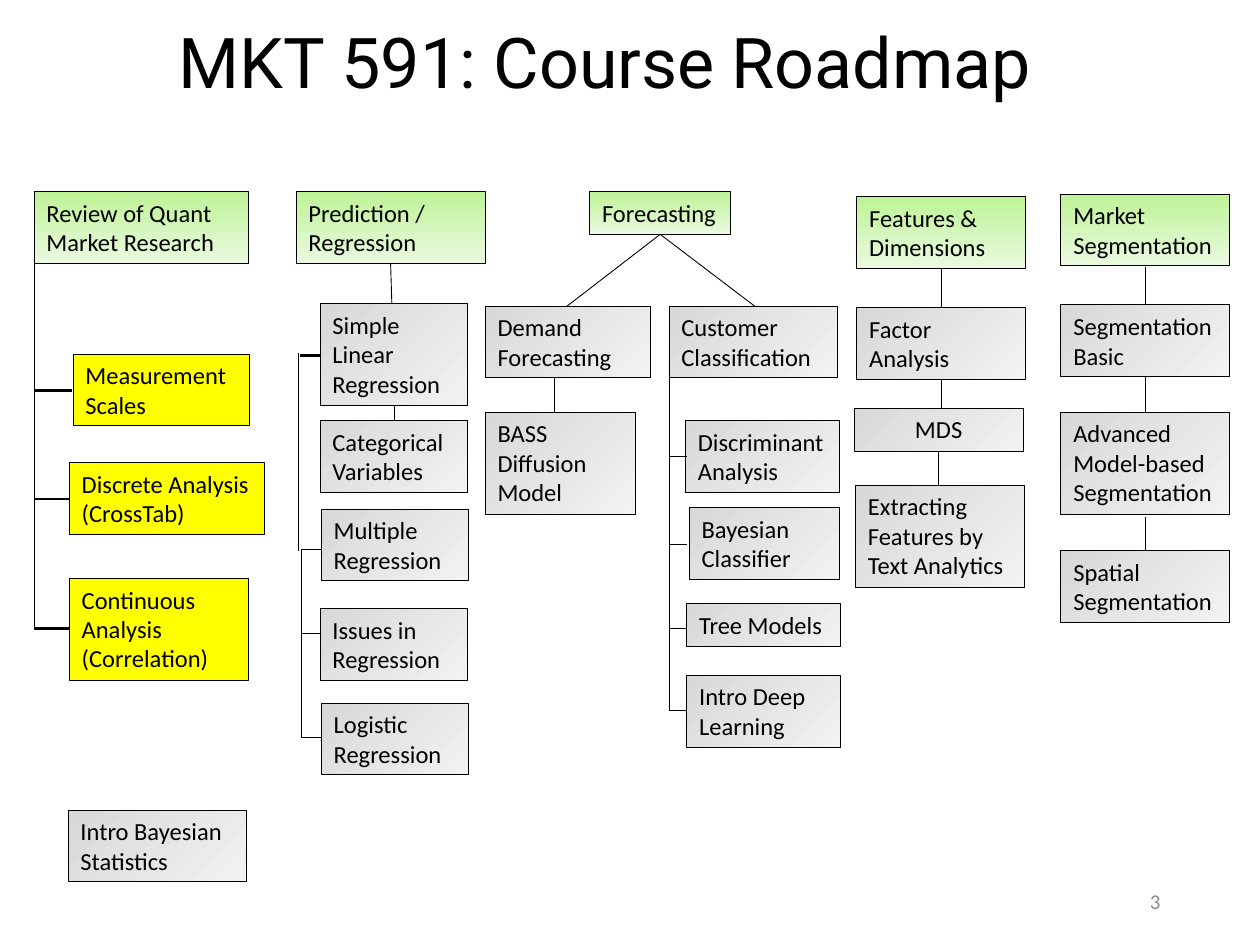
import pptx
import pptx.dml.color
import pptx.enum.shapes
import pptx.enum.text
import pptx.oxml.ns
import pptx.util
from lxml import etree

ALIGN = pptx.enum.text.PP_ALIGN
ANCHOR = pptx.enum.text.MSO_ANCHOR
AUTOSIZE = pptx.enum.text.MSO_AUTO_SIZE


def rgb(value):
    return pptx.dml.color.RGBColor.from_string(value)


class Roadmap:
    COLUMNS, ROWS = 100, 75
    INK, MUTED = "000000", "8C8C8C"
    BODY, HEADING = "Calibri", "Roboto"
    FILLS = {
        "topic": ("BEF297", "EAFAE0", 270),
        "step": ("D8D8D8", "F2F2F2", 315),
        "review": ("FFFF00",),
    }
    HEIGHTS = {1: 3.4, 2: 5.7, 3: 8.1}

    def __init__(self, prs):
        self.prs = prs
        self.s = prs.slides.add_slide(prs.slide_layouts[5])

    def x(self, columns):
        return round(self.prs.slide_width * columns / self.COLUMNS)

    def y(self, rows):
        return round(self.prs.slide_height * rows / self.ROWS)

    def area(self, left, top, width, height):
        return self.x(left), self.y(top), self.x(width), self.y(height)

    def label(self, sp, text, size, font, color, align, anchor, fit):
        tf = sp.text_frame
        tf.word_wrap = True
        tf.auto_size = fit
        tf.vertical_anchor = anchor
        p = tf.paragraphs[0]
        p.alignment = align
        r = p.add_run()
        r.text = text
        r.font.size = pptx.util.Pt(size)
        r.font.name = font
        r.font.color.rgb = rgb(color)
        return p

    def title(self, text, left, top, width, height):
        sp = self.s.shapes.title
        sp.left, sp.top, sp.width, sp.height = self.area(left, top, width, height)
        p = self.label(sp, text, 40, self.HEADING, self.INK, ALIGN.LEFT,
                       ANCHOR.MIDDLE, AUTOSIZE.NONE)
        p.line_spacing = 0.9

    def page_number(self, text, left, top, width, height):
        sp = self.s.shapes.add_textbox(*self.area(left, top, width, height))
        self.label(sp, text, 12, self.BODY, self.MUTED, ALIGN.RIGHT,
                   ANCHOR.MIDDLE, AUTOSIZE.NONE)

    def box(self, kind, text, left, top, width, lines=2, align=ALIGN.LEFT):
        sp = self.s.shapes.add_shape(
            pptx.enum.shapes.MSO_SHAPE.RECTANGLE,
            *self.area(left, top, width, self.HEIGHTS[lines]))
        sp.shadow.inherit = False
        colors = self.FILLS[kind]
        if len(colors) == 1:
            sp.fill.solid()
            sp.fill.fore_color.rgb = rgb(colors[0])
        else:
            start, end, angle = colors
            sp.fill.gradient()
            sp.fill.gradient_angle = angle
            for stop, color in zip(sp.fill.gradient_stops, (start, end)):
                stop.color.rgb = rgb(color)
        sp.line.color.rgb = rgb(self.INK)
        sp.line.width = pptx.util.Pt(0.5)
        self.label(sp, text, 14, self.BODY, self.INK, align,
                   ANCHOR.TOP, AUTOSIZE.SHAPE_TO_FIT_TEXT)

    def link(self, x1, y1, x2, y2, weight=0.5):
        c = self.s.shapes.add_connector(
            pptx.enum.shapes.MSO_CONNECTOR.STRAIGHT,
            self.x(x1), self.y(y1), self.x(x2), self.y(y2))
        c.line.color.rgb = rgb(self.INK)
        c.line.width = pptx.util.Pt(weight)
        etree.SubElement(c.element.spPr, pptx.oxml.ns.qn("a:effectLst"))

    def drops(self, x, *spans):
        for top, bottom in spans:
            self.link(x, top, x, bottom)

    def branches(self, x1, x2, rows, weight=0.5):
        for row in rows:
            self.link(x1, row, x2, row, weight)


TOPICS = [
    ("Review of Quant Market Research", 2.7, 15.2, 17, 2),
    ("Prediction / Regression", 23.5, 15.2, 15, 2),
    ("Forecasting", 46.8, 15.2, 11.2, 1),
    ("Features & Dimensions", 68, 15.6, 13.4, 2),
    ("Market Segmentation", 84.2, 15.4, 13.4, 2),
]
REVIEW = [
    ("Measurement Scales", 5.8, 28.1, 14, 2),
    ("Discrete Analysis (CrossTab)", 5.5, 36.7, 15.5, 2),
    ("Continuous Analysis (Correlation)", 5.5, 45.9, 14.2, 3),
]
STEPS = [
    ("Intro Bayesian Statistics", 5.4, 64.3, 14.2, 2),
    ("Simple Linear Regression", 25.4, 24.1, 11.7, 3),
    ("Categorical Variables", 25.4, 33.4, 11.7, 2),
    ("Multiple Regression", 25.5, 40.4, 11.7, 2),
    ("Issues in Regression", 25.4, 48.3, 11.7, 2),
    ("Logistic Regression", 25.5, 55.8, 11.7, 2),
    ("Demand Forecasting", 38.5, 24.3, 13.1, 2),
    ("BASS Diffusion Model", 38.5, 32.7, 11.9, 3),
    ("Customer Classification", 53.1, 24.3, 13.4, 2),
    ("Discriminant Analysis", 54.4, 33.4, 12.2, 2),
    ("Bayesian Classifier", 54.7, 40.3, 11.9, 2),
    ("Tree Models", 54.5, 47.9, 12.2, 1),
    ("Intro Deep Learning", 54.5, 53.6, 12.2, 2),
    ("Factor Analysis", 68, 24.4, 13.4, 2),
    ("MDS", 67.8, 32.4, 13.4, 1, ALIGN.CENTER),
    ("Extracting Features by Text Analytics", 67.9, 38.5, 13.4, 3),
    ("Segmentation Basic", 84.2, 24.2, 13.4, 2),
    ("Advanced Model-based Segmentation", 84.2, 32.7, 13.4, 3),
    ("Spatial Segmentation", 84.2, 43.7, 13.4, 2),
]


def main():
    prs = pptx.Presentation()
    prs.slide_width = pptx.util.Inches(10)
    prs.slide_height = pptx.util.Inches(7.5)
    road = Roadmap(prs)
    road.title("MKT 591: Course Roadmap", 13.2, 0.1, 72.2, 10.2)
    road.page_number("3", 70.6, 69.5, 22.5, 4)

    road.drops(2.7, (20.9, 50))
    road.branches(2.8, 5.7, (31, 39.6, 49.9), weight=1.5)

    road.link(31, 20.9, 31.1, 24.1)
    road.drops(31.3, (32.1, 33.4))
    road.drops(23.7, (28, 43.7))
    road.drops(23.9, (43.6, 58.6))
    road.branches(23.8, 25.4, (28.2,), weight=1.5)
    road.branches(23.9, 25.5, (43.6, 50.3, 58.5))

    for x in (45, 59.9):
        road.link(52.4, 18.6, x, 24.3)
    road.drops(44, (29.9, 32.7))

    road.drops(74.7, (21.3, 24.4), (30.1, 32.9))
    road.drops(74.5, (35.8, 38.7))
    road.drops(90.9, (21.2, 24.2), (29.9, 32.7), (41, 43.8))

    for kind, boxes in (("topic", TOPICS), ("review", REVIEW), ("step", STEPS)):
        for box in boxes:
            road.box(kind, *box)

    road.drops(53.1, (27.7, 56.4))
    road.branches(53.1, 54.5, (36.2, 43.2, 49.9, 56.4))
    prs.save("out.pptx")


if __name__ == "__main__":
    main()
